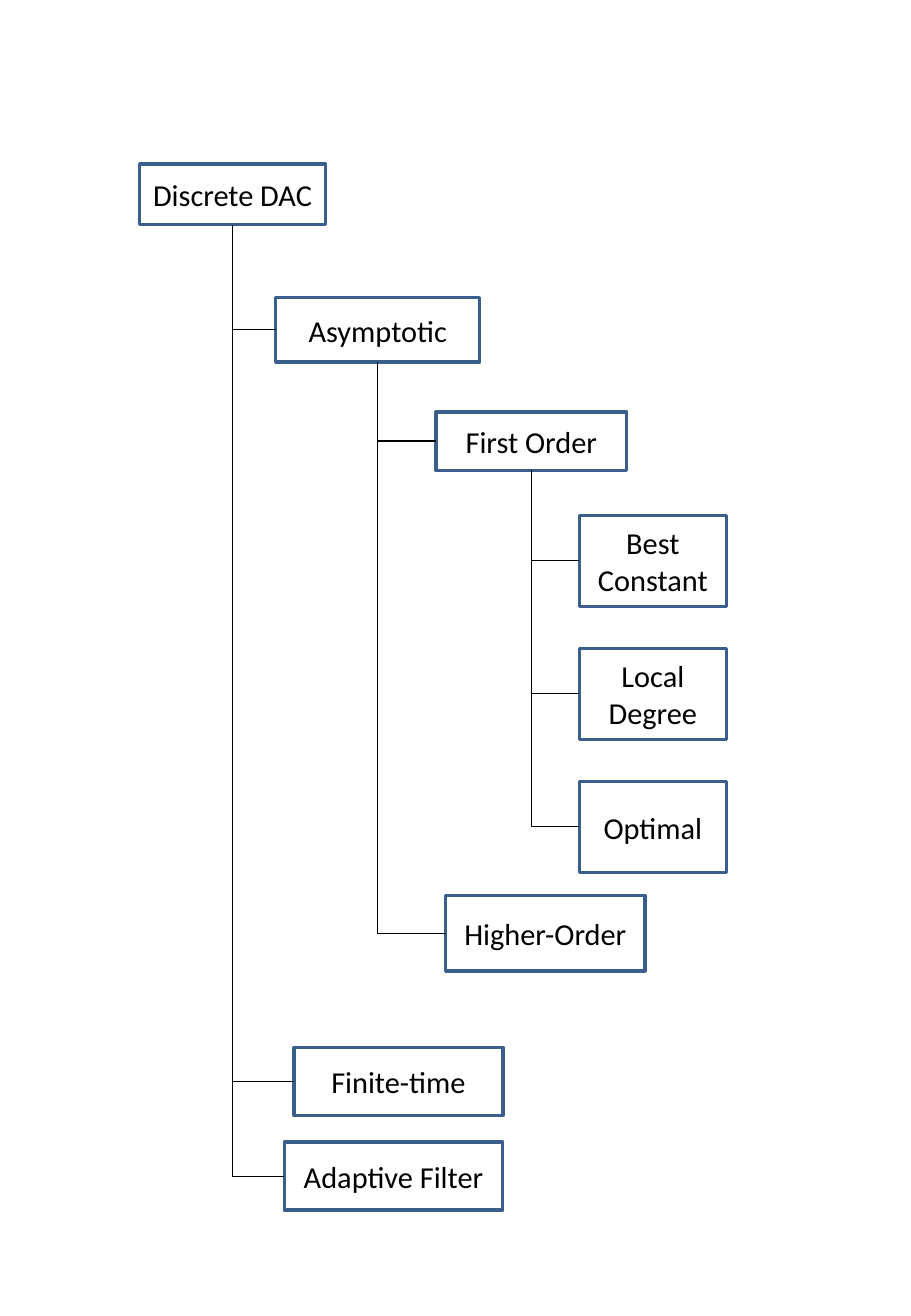
from dataclasses import dataclass

from lxml import etree
from pptx import Presentation
from pptx.dml.color import RGBColor
from pptx.enum.shapes import MSO_CONNECTOR, MSO_SHAPE
from pptx.enum.text import MSO_ANCHOR, PP_ALIGN
from pptx.oxml.ns import qn
from pptx.util import Inches, Pt

RECTANGLE = MSO_SHAPE.RECTANGLE
ELBOW = MSO_CONNECTOR.ELBOW
MIDDLE = MSO_ANCHOR.MIDDLE
CENTER = PP_ALIGN.CENTER
LEFT_SIDE, BOTTOM_SIDE = 1, 2
BLANK_LAYOUT = 6


@dataclass(frozen=True)
class Theme:
    font: str = "Calibri"
    text_size: Pt = Pt(18)
    text: RGBColor = RGBColor(0x00, 0x00, 0x00)
    border: RGBColor = RGBColor(0x3A, 0x5F, 0x8C)
    border_width: Pt = Pt(2)
    branch: RGBColor = RGBColor(0x00, 0x00, 0x00)
    branch_width: Pt = Pt(0.75)
    side_margin: Inches = Inches(0.05)


THEME = Theme()

# The three leaves share one column with an equal step
LEAF_LABELS = ["Best Constant", "Local Degree", "Optimal"]
LEAF_LEFT, LEAF_TOP, LEAF_SPAN = 3.62, 2.89, 2.19
LEAF_WIDTH, LEAF_HEIGHT = 1.21, 0.75
LEAF_STEP = LEAF_SPAN / (len(LEAF_LABELS) - 1)
LEAVES = [
    (label, (LEAF_LEFT, LEAF_TOP + row * LEAF_STEP, LEAF_WIDTH, LEAF_HEIGHT), [])
    for row, label in enumerate(LEAF_LABELS)
]

# Each node: label, (left, top, width, height) within the tree, children
TREE = ("Discrete DAC", (0, 0, 1.53, 0.5), [
    ("Asymptotic", (1.12, 1.1, 1.68, 0.53), [
        ("First Order", (2.44, 2.04, 1.57, 0.48), LEAVES),
        ("Higher-Order", (2.52, 6.02, 1.64, 0.62), []),
    ]),
    ("Finite-time", (1.27, 7.27, 1.72, 0.56), []),
    ("Adaptive Filter", (1.19, 8.05, 1.8, 0.56), []),
])


def add_node(page, label, left, top, width, height):
    """Outlined box with a centred label."""
    node = page.shapes.add_shape(
        RECTANGLE, Inches(left), Inches(top), Inches(width), Inches(height))
    node.shadow.inherit = False
    node.fill.background()
    node.line.color.rgb = THEME.border
    node.line.width = THEME.border_width

    frame = node.text_frame
    frame.word_wrap = True
    frame.vertical_anchor = MIDDLE
    frame.margin_left = frame.margin_right = THEME.side_margin
    para = frame.paragraphs[0]
    para.alignment = CENTER
    span = para.add_run()
    span.text = label
    span.font.name = THEME.font
    span.font.size = THEME.text_size
    span.font.color.rgb = THEME.text
    return node


def add_branch(page, parent, child):
    """One-bend line from the child's left side to the parent's bottom."""
    branch = page.shapes.add_connector(
        ELBOW,
        child.left, child.top + child.height // 2,
        parent.left + parent.width // 2, parent.top + parent.height)
    branch.begin_connect(child, LEFT_SIDE)
    branch.end_connect(parent, BOTTOM_SIDE)
    branch.line.color.rgb = THEME.branch
    branch.line.width = THEME.branch_width

    # Single bend, no shadow
    properties = branch._element.spPr
    properties.find(qn("a:prstGeom")).set("prst", "bentConnector2")
    etree.SubElement(properties, qn("a:effectLst"))


def add_tree(page, tree, left, top):
    """Node, its subtrees and the branches to them, offset by left and top."""
    label, (node_left, node_top, width, height), children = tree
    node = add_node(page, label, left + node_left, top + node_top, width, height)
    for child in children:
        add_branch(page, node, add_tree(page, child, left, top))
    return node


def main():
    deck = Presentation()
    deck.slide_width = Inches(7.5)
    deck.slide_height = Inches(10.83)
    page = deck.slides.add_slide(deck.slide_layouts[BLANK_LAYOUT])
    add_tree(page, TREE, left=1.15, top=1.35)
    deck.save("out.pptx")


if __name__ == "__main__":
    main()
